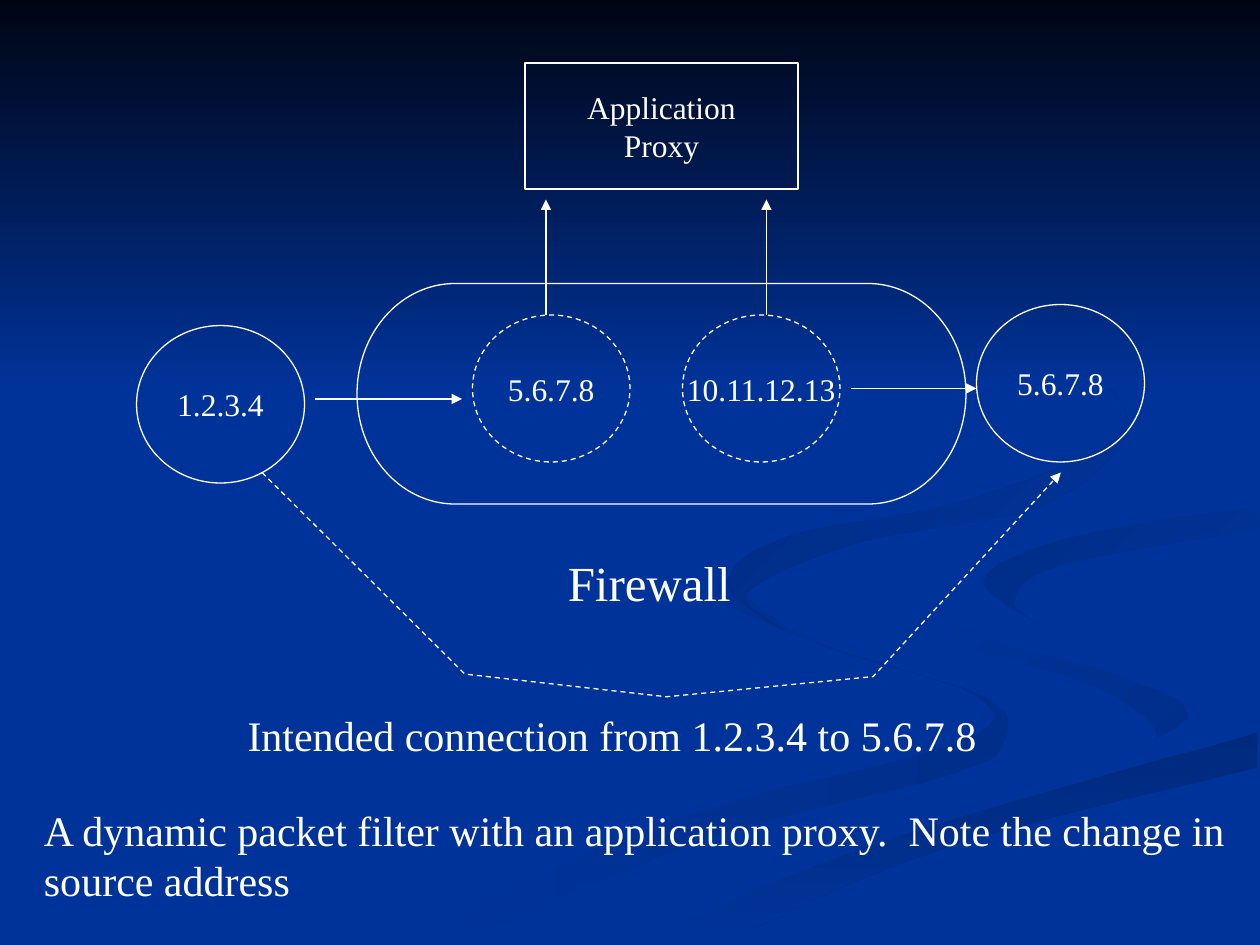
from lxml import etree
from pptx import Presentation
from pptx.dml.color import RGBColor
from pptx.enum.dml import MSO_LINE
from pptx.enum.shapes import MSO_CONNECTOR, MSO_SHAPE
from pptx.enum.text import MSO_ANCHOR, PP_ALIGN
from pptx.oxml.ns import qn
from pptx.util import Inches, Pt

CIRCLE = MSO_SHAPE.FLOWCHART_CONNECTOR
TERMINATOR = MSO_SHAPE.FLOWCHART_TERMINATOR
PROCESS = MSO_SHAPE.FLOWCHART_PROCESS
STRAIGHT = MSO_CONNECTOR.STRAIGHT
DASH = MSO_LINE.DASH
MIDDLE = MSO_ANCHOR.MIDDLE
LEFT, CENTER = PP_ALIGN.LEFT, PP_ALIGN.CENTER

CELL = Inches(1) / 12
COLS, ROWS = 120, 90
STEPS = 6
FONT = "Times New Roman"
WHITE, BLUE = "FFFFFF", "003399"

RIBBONS = [
    (BLUE, "002E8B", 0, [
        [(575, 459), (572, 476), (654, 513), (776, 553), (759, 590), (539, 649), (300, 749)],
        [(361, 749), (564, 665), (756, 614), (797, 588), (781, 553), (642, 507), (575, 459)]]),
    (BLUE, "002E8B", 45, [
        [(724, 464), (745, 490), (811, 515), (905, 540), (943, 570), (894, 605)],
        [(894, 605), (918, 581), (868, 544), (766, 512), (724, 464)]]),
    ("002A7D", BLUE, 90, [
        [(503, 749), (630, 693), (764, 647), (998, 581)],
        [(998, 609), (752, 672), (571, 749)]]),
    (BLUE, BLUE, 0, [
        [(725, 464), (745, 490), (871, 530), (943, 570), (813, 625), (663, 668), (477, 749)],
        [(503, 749), (696, 669), (999, 581)],
        [(999, 538), (848, 503), (781, 463), (865, 424), (999, 402)],
        [(999, 387), (808, 417), (725, 464)]]),
    ("002D86", BLUE, 45, [
        [(826, 496), (805, 476), (843, 448), (998, 420)],
        [(998, 402), (849, 427), (781, 460), (826, 496)]]),
    ("002B82", BLUE, 45, [
        [(762, 233), (870, 299), (886, 348), (763, 398), (625, 426), (577, 462), (622, 500)],
        [(622, 500), (593, 470), (683, 430), (825, 402), (894, 344), (864, 291), (762, 233)]]),
    ("000514", BLUE, 90, [[(0, 0), (0, 308)], [(1000, 308), (1000, 0)]]),
]


def rgb(color):
    return RGBColor.from_string(color)


def place(box, *at):
    return [round((v + box[i % 2]) * CELL) if i < 2 else round(v * CELL)
            for i, v in enumerate(at)]


def smooth(points):
    knots = [points[0], *points, points[-1]]
    curve = [points[0]]
    for quad in zip(knots, knots[1:], knots[2:], knots[3:]):
        for step in range(1, STEPS + 1):
            t = step / STEPS
            curve.append(tuple(
                b + t * (c - a) / 2 + t ** 2 * (2 * a - 5 * b + 4 * c - d) / 2
                + t ** 3 * (3 * b - a - 3 * c + d) / 2
                for a, b, c, d in zip(*quad)))
    return curve


def style_line(s, dash=None, arrow=False):
    s.line.color.rgb = rgb(WHITE)
    s.line.width = Pt(0.75)
    if dash:
        s.line.dash_style = dash
    if arrow:
        ln = s._element.spPr.find(qn("a:ln"))
        etree.SubElement(ln, qn("a:tailEnd"), type="triangle")


def write(tf, lines, size, align):
    p = tf.paragraphs[0]
    p.alignment = align
    for i, line in enumerate(lines):
        if i:
            p.add_line_break()
        r = p.add_run()
        r.text = line
        r.font.name = FONT
        r.font.size = Pt(size)
        r.font.color.rgb = rgb(WHITE)


def outline(slide, box, points, closed):
    fb = slide.shapes.build_freeform(*points[0], scale=box[2] * CELL / 1000)
    fb.add_line_segments(points[1:], close=closed)
    s = fb.convert_to_shape(*place(box, 0, 0))
    s.shadow.inherit = False
    return s


def node(slide, box, kind, at, lines=(), dash=None):
    s = slide.shapes.add_shape(kind, *place(box, *at))
    s.shadow.inherit = False
    s.fill.background()
    style_line(s, dash=dash)
    tf = s.text_frame
    tf.word_wrap = False
    tf.vertical_anchor = MIDDLE
    write(tf, lines, 18, CENTER)


def arrow(slide, box, start, end):
    s = slide.shapes.add_connector(STRAIGHT, *place(box, *start), *place(box, *end))
    style_line(s, arrow=True)
    etree.SubElement(s._element.spPr, qn("a:effectLst"))


def caption(slide, box, at, text, size):
    s = slide.shapes.add_textbox(*place(box, *at))
    s.text_frame.word_wrap = True
    write(s.text_frame, [text], size, LEFT)


def backdrop(slide, box):
    fill = slide.background.fill
    fill.solid()
    fill.fore_color.rgb = rgb(BLUE)
    for first, last, angle, sides in RIBBONS:
        points = [point for side in sides for point in smooth(side)]
        s = outline(slide, box, points, True)
        s.line.fill.background()
        s.fill.gradient()
        s.fill.gradient_angle = -angle % 360
        for i, color in enumerate((first, last)):
            stop = s.fill.gradient_stops[i]
            stop.color.rgb = rgb(color)
            stop.position = i


def firewall_diagram(slide, box):
    node(slide, box, CIRCLE, (13, 31, 16, 15), ["1.2.3.4"])
    node(slide, box, CIRCLE, (93, 29, 16, 15), ["5.6.7.8"])
    node(slide, box, CIRCLE, (65, 30, 15, 14), ["10.11.12.13"], DASH)
    node(slide, box, CIRCLE, (45, 30, 15, 14), ["5.6.7.8"], DASH)
    node(slide, box, TERMINATOR, (34, 27, 58, 21))
    node(slide, box, PROCESS, (50, 6, 26, 12), ["Application", "Proxy"])
    arrow(slide, box, (30, 38), (44, 38))
    arrow(slide, box, (81, 37), (93, 37))
    for col in (52, 73):
        arrow(slide, box, (col, 30), (col, 19))
    route = [(208, 375), (369, 535), (529, 553), (693, 537), (842, 375)]
    s = outline(slide, box, route, False)
    s.fill.background()
    style_line(s, dash=DASH, arrow=True)


def captions(slide, box):
    caption(slide, box, (52.9, 52, 20.9, 6.8), "Firewall", 28)
    caption(slide, box, (22.4, 67, 83, 6), "Intended connection from 1.2.3.4 to 5.6.7.8", 24)
    caption(slide, box, (3, 76, 117, 10.8),
            "A dynamic packet filter with an application proxy.  "
            "Note the change in source address", 24)


def main():
    prs = Presentation()
    prs.slide_width, prs.slide_height = Inches(10), Inches(7.5)
    slide = prs.slides.add_slide(prs.slide_layouts[6])
    box = (0, 0, COLS, ROWS)
    for region in (backdrop, firewall_diagram, captions):
        region(slide, box)
    prs.save("out.pptx")


if __name__ == "__main__":
    main()
